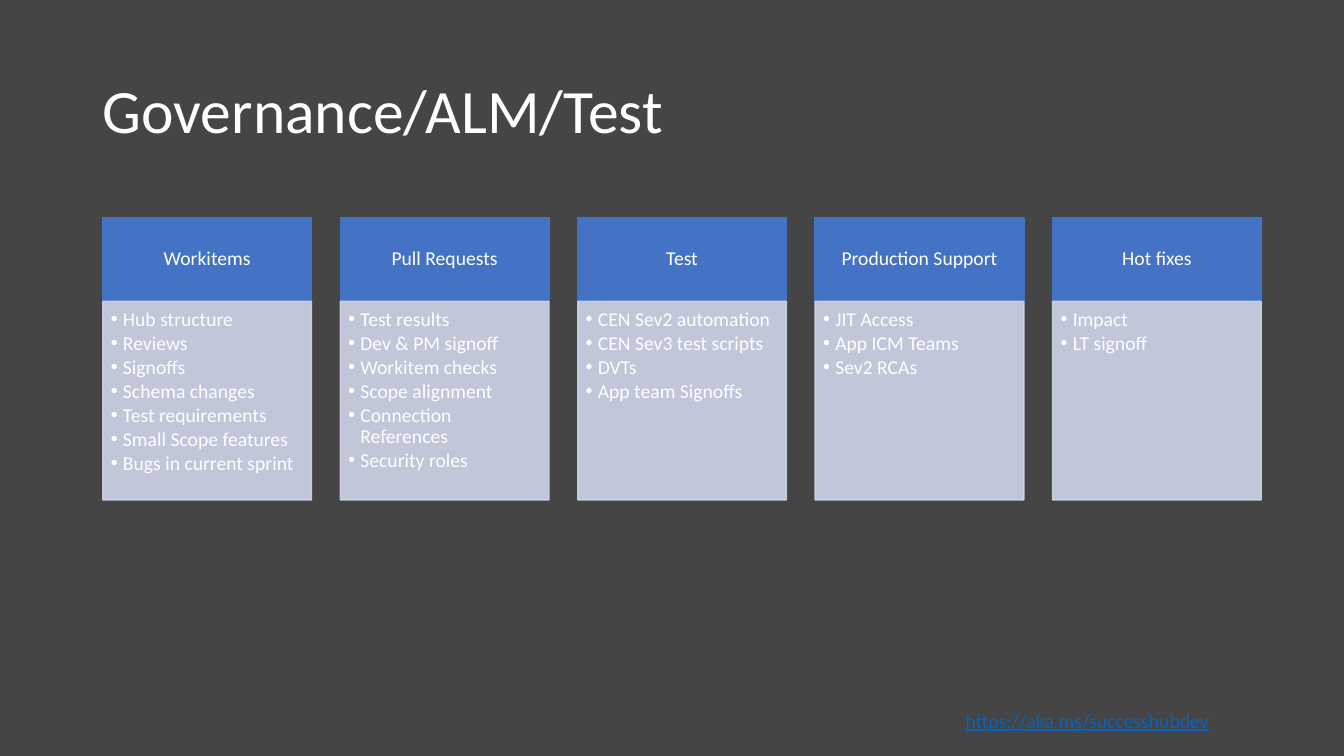
from dataclasses import dataclass

import pptx
import pptx.dml.color
import pptx.enum.shapes
import pptx.enum.text
import pptx.oxml
import pptx.oxml.ns
import pptx.util
from lxml import etree

Inches = pptx.util.Inches
Pt = pptx.util.Pt
Align = pptx.enum.text.PP_ALIGN
Anchor = pptx.enum.text.MSO_ANCHOR
qn = pptx.oxml.ns.qn

FONT = "Calibri"
WHITE, BLUE, PALE, LINK = "FFFFFF", "4472C4", "CFD5EA", "0563C1"
LEFT, TOP, WIDTH = 1.02, 2.16, 2.07
PITCH = (10.44 - LEFT) / 4
HEAD, BODY = 0.83, 1.97


@dataclass
class Column:
    title: str
    items: list[str]


COLUMNS = [
    Column("Workitems", ["Hub structure", "Reviews", "Signoffs", "Schema changes",
                         "Test requirements", "Small Scope features",
                         "Bugs in current sprint"]),
    Column("Pull Requests", ["Test results", "Dev & PM signoff", "Workitem checks",
                             "Scope alignment", "Connection References",
                             "Security roles"]),
    Column("Test", ["CEN Sev2 automation", "CEN Sev3 test scripts", "DVTs",
                    "App team Signoffs"]),
    Column("Production Support", ["JIT Access", "App ICM Teams", "Sev2 RCAs"]),
    Column("Hot fixes", ["Impact", "LT signoff"]),
]


def color(code: str) -> pptx.dml.color.RGBColor:
    return pptx.dml.color.RGBColor.from_string(code)


def style(para, size: float, code: str) -> None:
    para.font.name = FONT
    para.font.size = Pt(size)
    para.font.color.rgb = color(code)


def inset(frame, left: float, top: float, right: float, bottom: float) -> None:
    frame.margin_left, frame.margin_top = Inches(left), Inches(top)
    frame.margin_right, frame.margin_bottom = Inches(right), Inches(bottom)


def add_bullet(para) -> None:
    props = para._p.get_or_add_pPr()
    props.set("marL", str(Inches(0.12)))
    props.set("indent", str(-Inches(0.12)))
    font = etree.SubElement(props, qn("a:buFont"))
    font.set("typeface", "Arial")
    etree.SubElement(props, qn("a:buChar")).set("char", "•")


def add_text(slide, left: float, top: float, width: float, height: float,
             text: str, size: float, code: str):
    frame = slide.shapes.add_textbox(
        Inches(left), Inches(top), Inches(width), Inches(height)).text_frame
    para = frame.paragraphs[0]
    para.text = text
    style(para, size, code)
    return frame


def add_box(slide, left: float, top: float, height: float, code: str):
    box = slide.shapes.add_shape(
        pptx.enum.shapes.MSO_SHAPE.RECTANGLE,
        Inches(left), Inches(top), Inches(WIDTH), Inches(height))
    box.shadow.inherit = False
    box.fill.solid()
    box.fill.fore_color.rgb = color(code)
    box.line.color.rgb = color(code)
    box.line.width = Pt(1)
    box.text_frame.word_wrap = True
    return box


def add_column(slide, left: float, column: Column) -> None:
    # Heading
    frame = add_box(slide, left, TOP, HEAD, BLUE).text_frame
    inset(frame, 0.11, 0.06, 0.11, 0.06)
    frame.vertical_anchor = Anchor.MIDDLE
    para = frame.paragraphs[0]
    para.text = column.title
    para.alignment = Align.CENTER
    para.line_spacing = 0.9
    style(para, 14, WHITE)

    # Slightly transparent list panel
    panel = add_box(slide, left, TOP + HEAD, BODY, PALE)
    for tint in panel._element.spPr.iter(qn("a:srgbClr")):
        etree.SubElement(tint, qn("a:alpha")).set("val", "90000")
    frame = panel.text_frame
    inset(frame, 0.08, 0.08, 0.11, 0.12)
    frame.vertical_anchor = Anchor.TOP
    for i, item in enumerate(column.items):
        para = frame.add_paragraph() if i else frame.paragraphs[0]
        para.text = item
        add_bullet(para)
        para.alignment = Align.LEFT
        para.line_spacing = 0.9
        para.space_after = Pt(2)
        style(para, 14, WHITE)


def main() -> None:
    deck = pptx.Presentation()
    deck.slide_width, deck.slide_height = Inches(13.33), Inches(7.5)
    slide = deck.slides.add_slide(deck.slide_layouts[6])
    slide.background.fill.solid()
    slide.background.fill.fore_color.rgb = color("454545")

    # Footer address
    frame = add_text(slide, 9.48, 6.98, 2.68, 0.34,
                     "https://aka.ms/successhubdev", 14, LINK)
    frame.word_wrap = False
    frame.paragraphs[0].font.underline = True

    # Title
    frame = add_text(slide, 0.92, 0.4, 11.5, 1.45, "Governance/ALM/Test", 44, WHITE)
    frame.word_wrap = True
    frame.vertical_anchor = Anchor.MIDDLE
    frame.paragraphs[0].line_spacing = 0.9

    # Columns
    for i, column in enumerate(COLUMNS):
        add_column(slide, LEFT + i * PITCH, column)

    deck.save("out.pptx")


if __name__ == "__main__":
    main()
